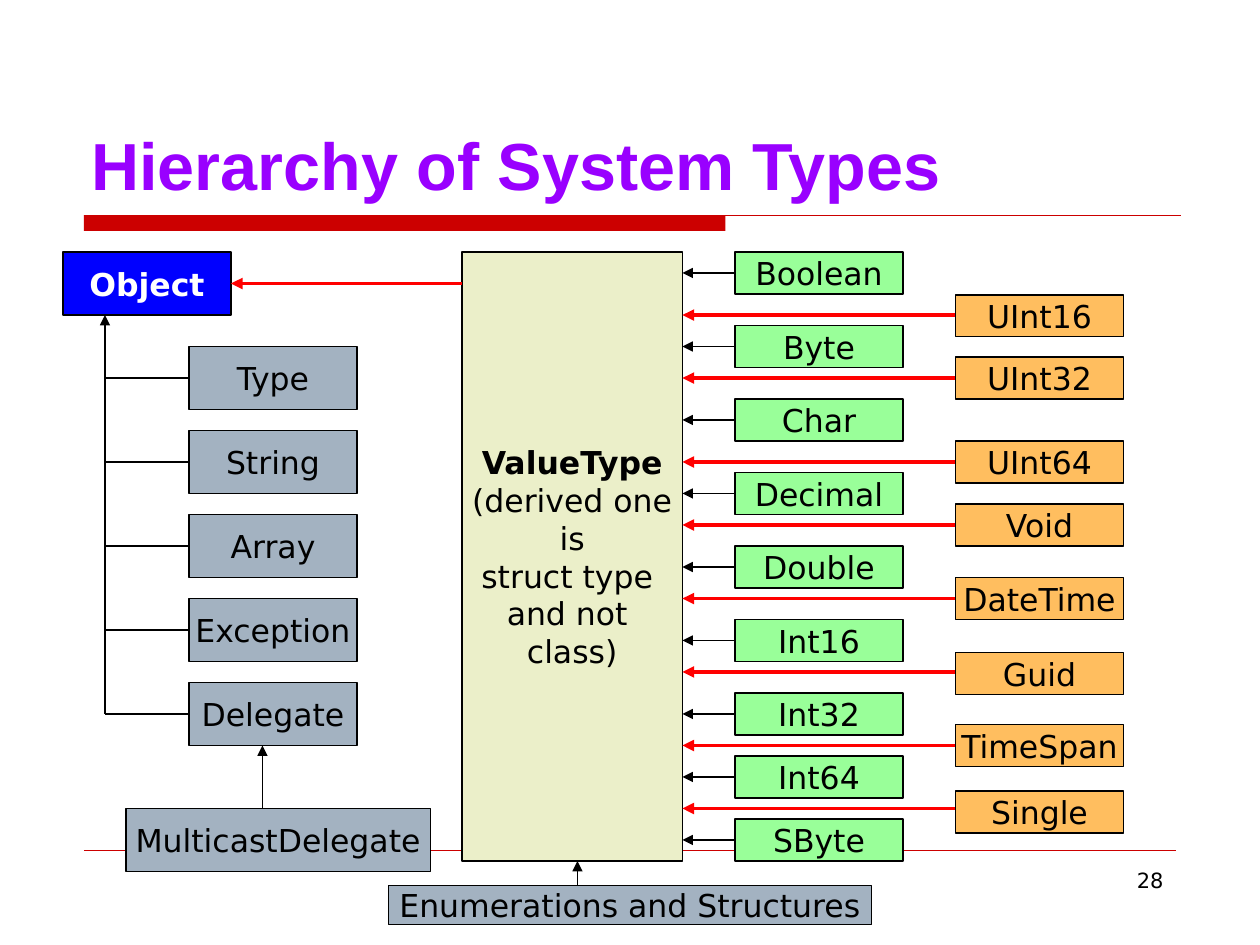
import pptx
import pptx.dml.color
import pptx.enum.shapes
import pptx.enum.text
import pptx.oxml.ns
import pptx.util
from lxml import etree

Pt = pptx.util.Pt
hue = pptx.dml.color.RGBColor.from_string
qn = pptx.oxml.ns.qn
align = pptx.enum.text.PP_ALIGN
anchor = pptx.enum.text.MSO_ANCHOR
rect = pptx.enum.shapes.MSO_SHAPE.RECTANGLE
straight = pptx.enum.shapes.MSO_CONNECTOR.STRAIGHT


class Theme:
    title = hue("9900FF")
    rule = hue("CC0000")
    root = hue("0000FF")
    ref = hue("A3B2C1")
    value = hue("EBEFC9")
    green = hue("99FF99")
    orange = hue("FFBE5F")
    red = hue("FF0000")
    black = hue("000000")
    white = hue("FFFFFF")
    head = "Arial"
    body = "DejaVu Sans"
    big = Pt(38)
    text = Pt(18)
    small = Pt(12)
    thin = 0.75
    thick = 2.25


deck = pptx.Presentation()
deck.slide_width, deck.slide_height = Pt(720), Pt(540)
slide = deck.slides.add_slide(deck.slide_layouts[5])
shapes = slide.shapes


def box(label, x, y, w, h, fill, ink=Theme.black):
    item = shapes.add_shape(rect, Pt(x), Pt(y), Pt(w), Pt(h))
    item.shadow.inherit = False
    item.fill.solid()
    item.fill.fore_color.rgb = fill
    item.line.color.rgb = Theme.black
    item.line.width = Pt(Theme.thin)
    frame = item.text_frame
    frame.word_wrap = False
    frame.vertical_anchor = anchor.MIDDLE
    frame.text = label
    for para in frame.paragraphs:
        para.alignment = align.CENTER
        para.font.name = Theme.body
        para.font.size = Theme.text
        para.font.color.rgb = ink
    return frame.paragraphs[0]


def link(x1, y1, x2, y2, ink=Theme.black, width=Theme.thin, arrow=True):
    item = shapes.add_connector(straight, Pt(x1), Pt(y1), Pt(x2), Pt(y2))
    item.line.color.rgb = ink
    item.line.width = Pt(width)
    if arrow:
        tail = etree.SubElement(item.line._get_or_add_ln(), qn("a:tailEnd"))
        tail.set("type", "triangle")
    etree.SubElement(item._element.spPr, qn("a:effectLst"))


title = shapes.title
title.left, title.top, title.width, title.height = Pt(45), Pt(24), Pt(630), Pt(96)
frame = title.text_frame
frame.text = "Hierarchy of System Types"
frame.word_wrap = True
frame.auto_size = pptx.enum.text.MSO_AUTO_SIZE.NONE
frame.vertical_anchor = anchor.BOTTOM
para = frame.paragraphs[0]
para.alignment = align.LEFT
para.font.name = Theme.head
para.font.size = Theme.big
para.font.bold = True
para.font.color.rgb = Theme.title

bar = shapes.add_shape(rect, Pt(48), Pt(123), Pt(366.5), Pt(9))
bar.shadow.inherit = False
bar.fill.solid()
bar.fill.fore_color.rgb = Theme.rule
bar.line.fill.background()
link(48, 123, 675, 123, Theme.rule, arrow=False)
link(48, 486, 672, 486, Theme.rule, 0.25, False)

page = shapes.add_textbox(Pt(516), Pt(492), Pt(156), Pt(37.5))
page.text_frame.word_wrap = True
para = page.text_frame.paragraphs[0]
para.text = "28"
para.alignment = align.RIGHT
para.font.name = Theme.body
para.font.size = Theme.small
para.font.color.rgb = Theme.black

box("Object", 36, 144, 96, 36, Theme.root, Theme.white).font.bold = True
link(60, 408, 60, 180)
for row, name in enumerate(["Type", "String", "Array", "Exception", "Delegate"]):
    y = 198 + 48 * row
    box(name, 108, y, 96, 36, Theme.ref)
    link(108, y + 18, 60, y + 18, arrow=False)
box("MulticastDelegate", 72, 462, 174, 36, Theme.ref)
link(150, 462, 150, 426)

note = "ValueType\n(derived one\nis\nstruct type \nand not \nclass)"
box(note, 264, 144, 126, 348, Theme.value).font.bold = True
link(264, 162, 132, 162, Theme.red, Theme.thick)

greens = {
    "Boolean": 144, "Byte": 186, "Char": 228, "Decimal": 270, "Double": 312,
    "Int16": 354, "Int32": 396, "Int64": 432, "SByte": 468,
}
for name, y in greens.items():
    box(name, 420, y, 96, 24, Theme.green)
    link(420, y + 12, 390, y + 12)

oranges = [
    ("UInt16", 168.5, 180), ("UInt32", 204, 216), ("UInt64", 252, 264),
    ("Void", 288, 300), ("DateTime", 330, 342), ("Guid", 373, 384),
    ("TimeSpan", 414, 426), ("Single", 452, 462),
]
for name, y, mid in oranges:
    link(546, mid, 390, mid, Theme.red, Theme.thick)
    box(name, 546, y, 96, 24, Theme.orange)

box("Enumerations and Structures", 222, 506, 276, 22.5, Theme.ref)
link(330, 506, 330, 492)

deck.save("out.pptx")
